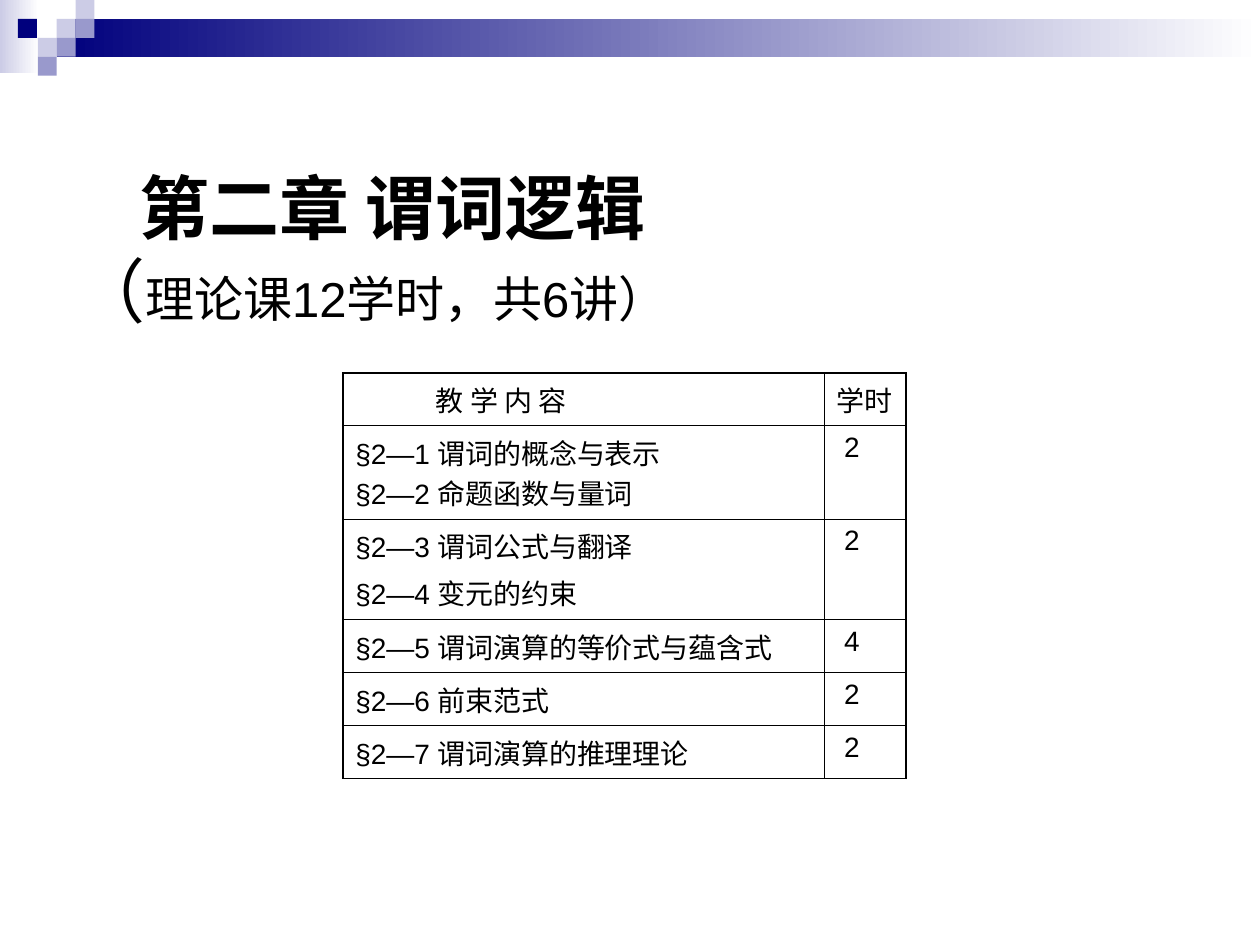
from lxml import etree
from pptx import Presentation
from pptx.dml.color import RGBColor
from pptx.enum.shapes import MSO_SHAPE
from pptx.oxml.ns import qn
from pptx.util import Inches, Pt

NAVY, LILAC, VIOLET, WHITE, BLACK = "00007D", "CCCCE6", "9999CC", "FFFFFF", "000000"
UNIT = 0.15
BANDS = [((0, 0, 0.31, 0.58), LILAC), ((0.45, UNIT, 9.55, 2 * UNIT), NAVY)]
SQUARES = [(3, 1, LILAC), (4, 0, LILAC), (4, 1, VIOLET), (2, 2, LILAC),
           (0.95, 1, NAVY), (3, 2, VIOLET), (2, 3, VIOLET)]
TITLE = [("第二章 谓词逻辑", 40, True)]
SUBTITLE = [("（", 40, False), ("理论课12学时，共6讲）", 28, False)]
LESSONS = [
    (["教 学 内 容"], "学时", 0.42),
    (["§2—1 谓词的概念与表示\v§2—2 命题函数与量词"], "2", 0.74),
    (["§2—3 谓词公式与翻译", "§2—4 变元的约束"], "2", 0.8),
    (["§2—5 谓词演算的等价式与蕴含式"], "4", 0.42),
    (["§2—6 前束范式"], "2", 0.42),
    (["§2—7 谓词演算的推理理论"], "2", 0.42),
]
COLUMNS = [3.82, 0.65]
THIN, THICK = 0.45, 1.08


def rgb(color):
    return RGBColor.from_string(color)


def add_rect(s, box, color, fade=None):
    sp = s.shapes.add_shape(MSO_SHAPE.RECTANGLE, *map(Inches, box))
    sp.shadow.inherit = False
    sp.line.fill.background()
    if fade:
        sp.fill.gradient()
        sp.fill.gradient_angle = 0
        for stop, position, shade in zip(sp.fill.gradient_stops, (0, 1), (color, fade)):
            stop.position = position
            stop.color.rgb = rgb(shade)
    else:
        sp.fill.solid()
        sp.fill.fore_color.rgb = rgb(color)


def write(p, text, size=16, bold=False, indent=0, before=0, spacing=None):
    if indent:
        p._p.get_or_add_pPr().set("marL", str(Inches(indent)))
    p.space_before = Pt(before)
    if spacing:
        p.line_spacing = Pt(spacing)
    for i, part in enumerate(text.split("\v")):
        if i:
            p.add_line_break()
        r = p.add_run()
        r.text = part
        r.font.name, r.font.size, r.font.bold = "Arial", Pt(size), bold
        r.font.color.rgb = rgb(BLACK)


def set_borders(cell, widths):
    tcPr = cell._tc.get_or_add_tcPr()
    for i, (side, width) in enumerate(zip("LRTB", widths)):
        ln = etree.Element(qn(f"a:ln{side}"), w=str(Pt(width)))
        fill = etree.SubElement(ln, qn("a:solidFill"))
        etree.SubElement(fill, qn("a:srgbClr"), val=BLACK)
        tcPr.insert(i, ln)


def add_title(s):
    tf = s.shapes.add_textbox(*map(Inches, (0.5, 1.26, 9, 1.45))).text_frame
    tf.word_wrap = True
    for i, (runs, indent) in enumerate([(TITLE, 0.51), (SUBTITLE, 0)]):
        p = tf.add_paragraph() if i else tf.paragraphs[0]
        for text, size, bold in runs:
            write(p, text, size=size, bold=bold, indent=indent, spacing=47.5)


def add_lessons(s):
    height = sum(row[2] for row in LESSONS)
    box = map(Inches, (2.72, 2.96, sum(COLUMNS), height))
    table = s.shapes.add_table(len(LESSONS), len(COLUMNS), *box).table
    table.first_row = table.horz_banding = False
    for column, width in zip(table.columns, COLUMNS):
        column.width = Inches(width)
    last = len(LESSONS) - 1
    for i, (topics, hours, row_height) in enumerate(LESSONS):
        table.rows[i].height = Inches(row_height)
        indents = (0.64, 0) if i == 0 else (0, 0.06)
        for j, lines in enumerate((topics, [hours])):
            cell = table.cell(i, j)
            cell.fill.background()
            edges = (j == 0, j == 1, i == 0, i == last)
            set_borders(cell, [THICK if edge else THIN for edge in edges])
            tf = cell.text_frame
            for n, line in enumerate(lines):
                p = tf.add_paragraph() if n else tf.paragraphs[0]
                write(p, line, indent=indents[j], before=4 if n else 0)


def main():
    prs = Presentation()
    prs.slide_width, prs.slide_height = Inches(10), Inches(7.5)
    s = prs.slides.add_slide(prs.slide_layouts[6])
    for box, color in BANDS:
        add_rect(s, box, color, fade=WHITE)
    for col, row, color in SQUARES:
        add_rect(s, (col * UNIT, row * UNIT, UNIT, UNIT), color)
    add_title(s)
    add_lessons(s)
    prs.save("out.pptx")


if __name__ == "__main__":
    main()
